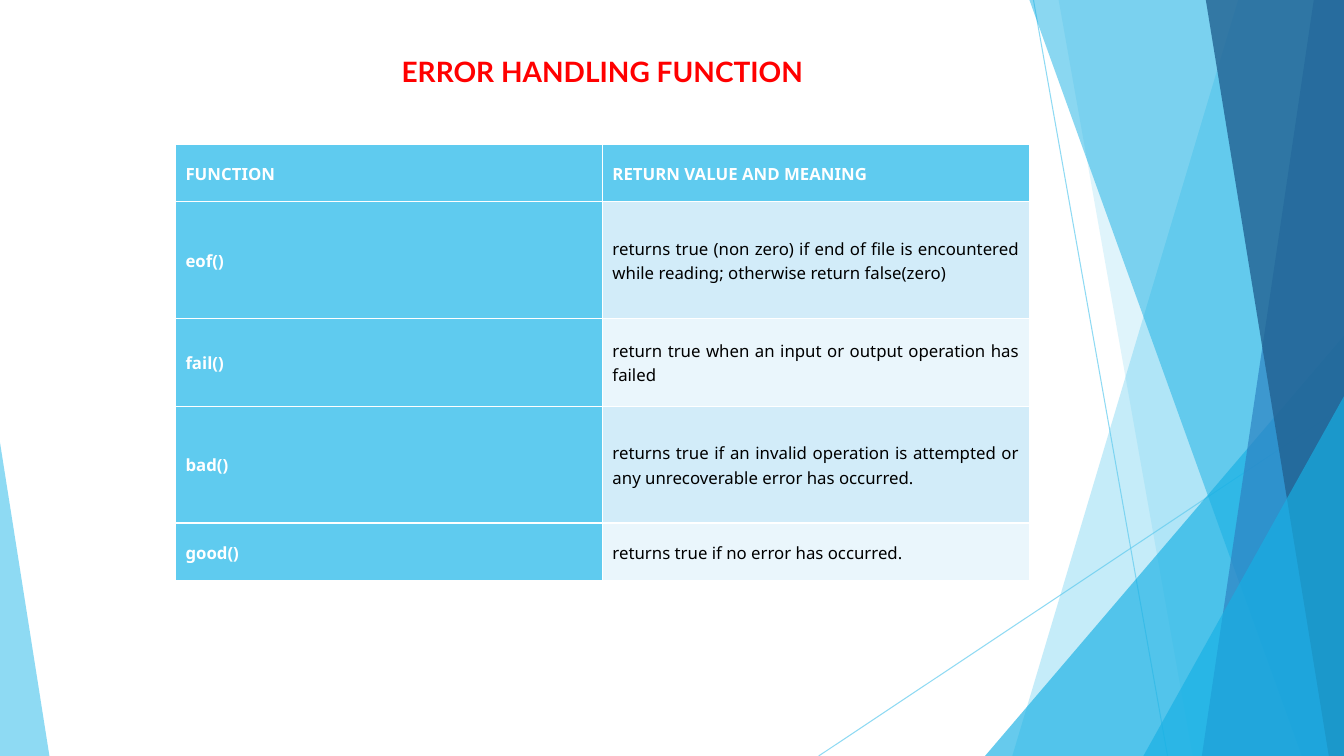
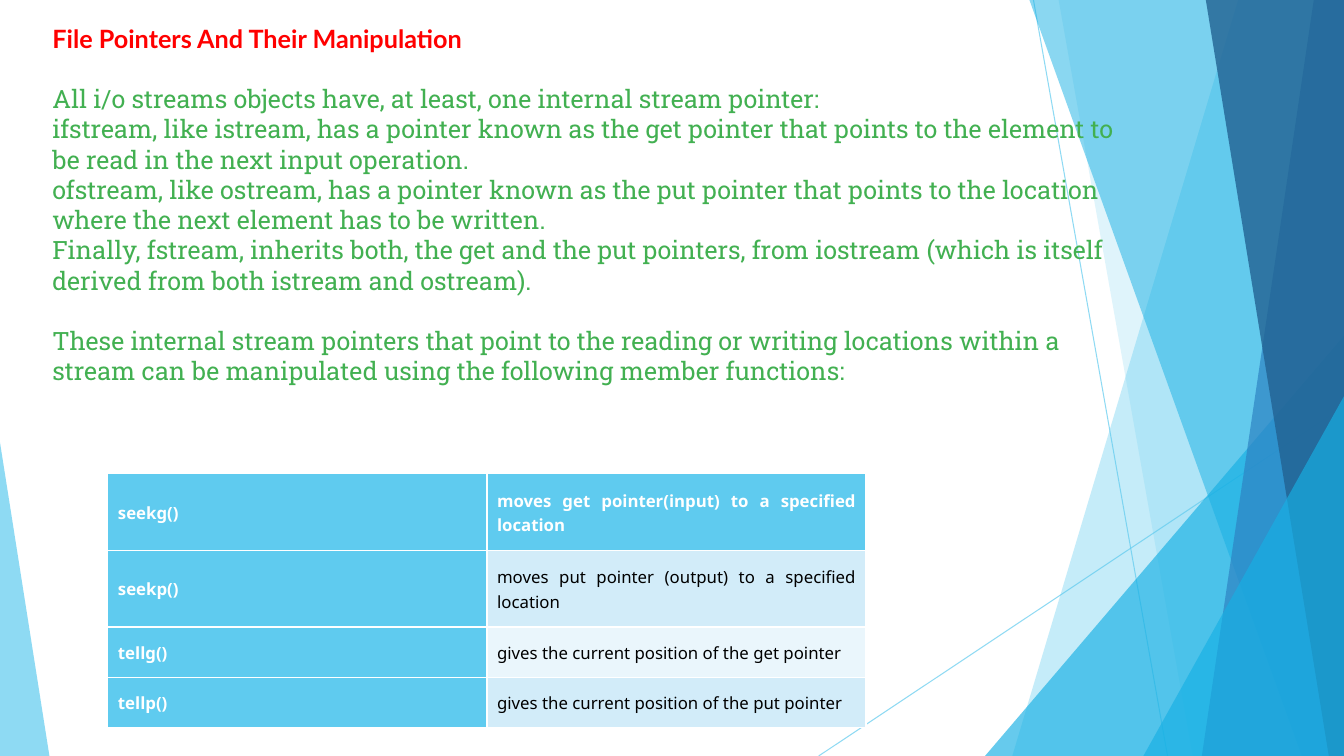
import dataclasses

import pptx
import pptx.chart.data
import pptx.dml.color
import pptx.enum.shapes
import pptx.enum.text
import pptx.oxml
import pptx.oxml.ns
import pptx.util

Inches = pptx.util.Inches
Pt = pptx.util.Pt
Align = pptx.enum.text.PP_ALIGN
Anchor = pptx.enum.text.MSO_ANCHOR


@dataclasses.dataclass(frozen=True)
class Theme:
    width: float = 13.33
    height: float = 7.5
    sky: str = "5FCBEF"
    cyan: str = "17B0E4"
    blue: str = "2E83C3"
    navy: str = "226292"
    red: str = "FF0000"
    green: str = "42B051"
    white: str = "FFFFFF"
    black: str = "000000"
    bands: tuple = ("D2ECF9", "EAF6FC")
    title_font: str = "Lato"
    body_font: str = "Roboto Slab"
    table_font: str = "Noto Sans"
    heading_size: int = 20
    body_size: int = 18
    table_size: int = 12


THEME = Theme()

ERROR_FUNCTIONS = [
    ("FUNCTION", "RETURN VALUE AND MEANING"),
    ("eof()", "returns true (non zero) if end of file is encountered while reading; "
              "otherwise return false(zero)"),
    ("fail()", "return true when an input or output operation has failed"),
    ("bad()", "returns true if an invalid operation is attempted or any "
              "unrecoverable error has occurred."),
    ("good()", "returns true if no error has occurred."),
]

POINTER_FUNCTIONS = [
    ("seekg()", "moves get pointer(input) to a specified location"),
    ("seekp()", "moves put pointer (output) to a specified location"),
    ("tellg()", "gives the current position of the get pointer"),
    ("tellp()", "gives the current position of the put pointer"),
]

POINTER_NOTES = [
    "All i/o streams objects have, at least, one internal stream pointer:",
    "ifstream, like istream, has a pointer known as the get pointer that points to "
    "the element to be read in the next input operation.",
    "ofstream, like ostream, has a pointer known as the put pointer that points to "
    "the location where the next element has to be written.",
    "Finally, fstream, inherits both, the get and the put pointers, from iostream "
    "(which is itself derived from both istream and ostream).",
    "These internal stream pointers that point to the reading or writing locations "
    "within a stream can be manipulated using the following member functions:",
]


def rgb(color):
    return pptx.dml.color.RGBColor.from_string(color)


def set_font(paragraph, name, size, color, bold=False):
    font = paragraph.font
    font.name, font.size, font.bold = name, Pt(size), bold
    font.color.rgb = rgb(color)


def set_opacity(shape, percent):
    for color in shape.element.spPr.iter(pptx.oxml.ns.qn("a:srgbClr")):
        alpha = pptx.oxml.parse_xml(
            f'<a:alpha {pptx.oxml.ns.nsdecls("a")} val="{percent * 1000}"/>')
        color.append(alpha)


def paint(shape, color, opacity):
    shape.shadow.inherit = False
    shape.fill.solid()
    shape.fill.fore_color.rgb = rgb(color)
    shape.line.fill.background()
    set_opacity(shape, opacity)


def add_ray(shapes, start, end):
    ray = shapes.add_connector(
        pptx.enum.shapes.MSO_CONNECTOR.STRAIGHT, *map(Inches, start + end))
    ray.line.width = Pt(0.75)
    ray.line.color.rgb = rgb(THEME.sky)
    set_opacity(ray, 70)
    ray.element.spPr.append(
        pptx.oxml.parse_xml(f'<a:effectLst {pptx.oxml.ns.nsdecls("a")}/>'))


def add_blade(shapes, top_x, bottom_x, color, opacity):
    outline = shapes.build_freeform(Inches(top_x), 0, scale=1.0)
    corners = [(THEME.width, 0), (THEME.width, THEME.height), (bottom_x, THEME.height)]
    outline.add_line_segments([(Inches(x), Inches(y)) for x, y in corners], close=True)
    paint(outline.convert_to_shape(), color, opacity)


def add_corner(shapes, left, top, width, apex, color, opacity):
    corner = shapes.add_shape(
        pptx.enum.shapes.MSO_SHAPE.ISOSCELES_TRIANGLE,
        Inches(left), Inches(top), Inches(width), Inches(THEME.height - top))
    corner.adjustments[0] = apex
    paint(corner, color, opacity)


def add_backdrop(slide):
    backdrop = slide.shapes.add_group_shape()
    shapes = backdrop.shapes
    add_ray(shapes, (10.25, 0), (11.58, THEME.height))
    add_ray(shapes, (THEME.width, 4.03), (8.12, THEME.height))
    add_blade(shapes, 12.28, 10.04, THEME.sky, 36)
    add_blade(shapes, 10.5, 11.83, THEME.sky, 20)
    add_corner(shapes, 9.77, 3.33, 3.56, 1, THEME.cyan, 66)
    add_blade(shapes, 10.21, 12.91, THEME.cyan, 50)
    add_blade(shapes, 13.03, 11.92, THEME.blue, 70)
    add_blade(shapes, 11.96, 13.18, THEME.navy, 80)
    add_corner(shapes, 11.34, 3.93, 1.99, 1, THEME.cyan, 66)
    add_corner(shapes, 0, 4.39, 0.49, 0, THEME.sky, 70)
    return backdrop


def move_to_layout(group, layout):
    for number, properties in enumerate(group.element.xpath(".//p:cNvPr"), 100):
        properties.set("id", str(number))
    layout.shapes.element.insert(2, group.element)


def place_title(slide, text, box, size, align):
    title = slide.shapes.title
    title.left, title.top, title.width, title.height = map(Inches, box)
    frame = title.text_frame
    frame.text = text
    frame.word_wrap = True
    frame.auto_size = pptx.enum.text.MSO_AUTO_SIZE.NONE
    frame.vertical_anchor = Anchor.MIDDLE
    paragraph = frame.paragraphs[0]
    paragraph.alignment = align
    set_font(paragraph, THEME.title_font, size, THEME.red, bold=True)


def add_notes_text(slide, texts, box):
    frame = slide.shapes.add_textbox(*map(Inches, box)).text_frame
    frame.word_wrap = True
    for index, text in enumerate(texts):
        paragraph = frame.add_paragraph() if index else frame.paragraphs[0]
        paragraph.text = text
        set_font(paragraph, THEME.body_font, THEME.body_size, THEME.green)
    paragraph.space_before = Pt(21.6)


def add_function_table(slide, rows, box, row_heights):
    table = slide.shapes.add_table(len(rows), 2, *map(Inches, box)).table
    table.first_col = True
    for row, height in zip(table.rows, row_heights):
        row.height = Inches(height)
    for r, texts in enumerate(rows):
        for c, text in enumerate(texts):
            emphasized = r == 0 or c == 0
            cell = table.cell(r, c)
            cell.text = text
            cell.vertical_anchor = Anchor.MIDDLE
            cell.margin_left = cell.margin_right = Inches(0.1)
            cell.margin_top = cell.margin_bottom = Inches(0.1)
            cell.fill.solid()
            cell.fill.fore_color.rgb = rgb(
                THEME.sky if emphasized else THEME.bands[(r - 1) % 2])
            paragraph = cell.text_frame.paragraphs[0]
            paragraph.alignment = Align.JUSTIFY
            paragraph.line_spacing = 1.07
            set_font(paragraph, THEME.table_font, THEME.table_size,
                     THEME.white if emphasized else THEME.black, emphasized)


def build_error_slide(slide):
    place_title(slide, "ERROR HANDLING FUNCTION", (3.54, 0.48, 4.87, 0.46),
                THEME.heading_size, Align.CENTER)
    add_function_table(slide, ERROR_FUNCTIONS, (1.74, 1.43, 8.47, 4.33),
                       (0.57, 1.16, 0.87, 1.16, 0.57))


def build_pointer_slide(slide):
    place_title(slide, "File Pointers And Their Manipulation", (0.42, 0.15, 10.95, 0.46),
                THEME.body_size, Align.LEFT)
    add_notes_text(slide, POINTER_NOTES, (0.42, 0.78, 10.95, 3.1))
    add_function_table(slide, POINTER_FUNCTIONS, (1.07, 4.7, 7.52, 2.52),
                       (0.76, 0.76, 0.5, 0.5))


def main():
    deck = pptx.Presentation()
    deck.slide_width, deck.slide_height = Inches(THEME.width), Inches(THEME.height)
    layout = deck.slide_layouts[5]
    error_slide, pointer_slide = (deck.slides.add_slide(layout) for _ in range(2))
    move_to_layout(add_backdrop(error_slide), layout)
    build_error_slide(error_slide)
    build_pointer_slide(pointer_slide)
    deck.save("out.pptx")


if __name__ == "__main__":
    main()
